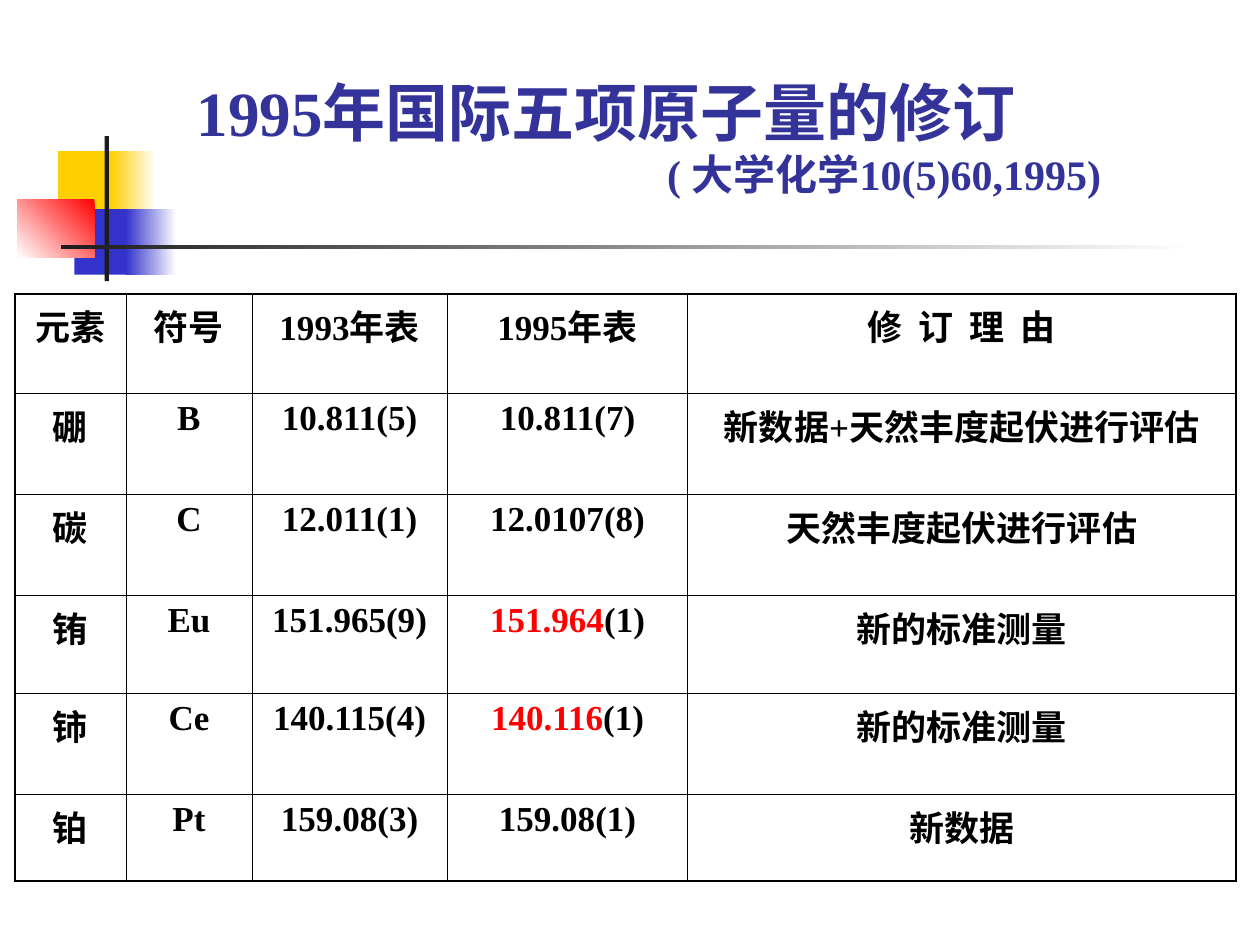
import pptx
import pptx.util
import pptx.oxml
import pptx.oxml.ns
import pptx.dml.color
import pptx.enum.shapes
import pptx.enum.text

Pt = pptx.util.Pt
ALIGN = pptx.enum.text.PP_ALIGN
ANCHOR = pptx.enum.text.MSO_ANCHOR

# Content
FONT = "Times New Roman"
COLOR = {"gold": "FFCF01", "blue": "3333CC", "red": "FF0000", "dark": "1C1C1C",
         "white": "FFFFFF", "navy": "333399", "black": "000000"}
TITLE = [("1995年国际五项原子量的修订", 36, ALIGN.LEFT),
         ("( 大学化学10(5)60,1995)", 24, ALIGN.RIGHT)]
ROWS = [
    ("元素", "符号", "1993年表", "1995年表", "修  订  理  由"),
    ("硼", "B", "10.811(5)", "10.811(7)", "新数据+天然丰度起伏进行评估"),
    ("碳", "C", "12.011(1)", "12.0107(8)", "天然丰度起伏进行评估"),
    ("铕", "Eu", "151.965(9)", "151.964(1)", "新的标准测量"),
    ("铈", "Ce", "140.115(4)", "140.116(1)", "新的标准测量"),
    ("铂", "Pt", "159.08(3)", "159.08(1)", "新数据"),
]
MARKED = {"151.964(1)", "140.116(1)"}  # digits before the bracket in red
WIDTHS = [63.4, 72, 111.6, 137.5, 313.2]
HEIGHTS = [57, 57.6, 57.6, 56.2, 57.6, 49.7]
THICK, THIN = 1.08, 0.45

# Ornament: left, top, width, height, first colour, last colour, angle
BLOCKS = [
    (33.1, 86.4, 34.6, 37.4, "gold", None, 0),
    (63.4, 86.4, 25.9, 37.4, "white", "gold", 180),
    (42.5, 119.5, 33.1, 37.4, "blue", None, 0),
    (72, 119.5, 28.8, 37.4, "white", "blue", 180),
    (10.1, 113.8, 43.9, 33.1, "red", "white", 225),
    (59.8, 77.8, 2.4, 82.8, "dark", None, 0),
    (34.6, 140.1, 648, 2.4, "white", "dark", 180),
]


def rgb(name):
    return pptx.dml.color.RGBColor.from_string(COLOR[name])


def style(run, size, color):
    run.font.name = FONT
    run.font.size = Pt(size)
    run.font.bold = True
    run.font.color.rgb = rgb(color)


def block(slide, left, top, width, height, first, last, angle):
    kind = pptx.enum.shapes.MSO_SHAPE.RECTANGLE
    shape = slide.shapes.add_shape(kind, Pt(left), Pt(top), Pt(width), Pt(height))
    shape.shadow.inherit = False
    shape.line.fill.background()
    if last is None:
        shape.fill.solid()
        shape.fill.fore_color.rgb = rgb(first)
        return
    shape.fill.gradient()
    shape.fill.gradient_angle = angle
    for stop, name in zip(shape.fill.gradient_stops, (first, last)):
        stop.color.rgb = rgb(name)


def border(cell, sides):
    props = cell._tc.get_or_add_tcPr()
    for spot, (side, width) in enumerate(sides):
        props.insert(spot, pptx.oxml.parse_xml(
            f'<a:ln{side} {pptx.oxml.ns.nsdecls("a")} w="{int(Pt(width))}">'
            f'<a:solidFill><a:srgbClr val="{COLOR["black"]}"/></a:solidFill>'
            f'</a:ln{side}>'))


def write(cell, text):
    para = cell.text_frame.paragraphs[0]
    para.alignment = ALIGN.CENTER
    parts = [(text, "black")]
    if text in MARKED:
        cut = text.index("(")
        parts = [(text[:cut], "red"), (text[cut:], "black")]
    for part, color in parts:
        run = para.add_run()
        run.text = part
        style(run, 20, color)


def head(slide):
    title = slide.shapes.title
    title.left, title.top, title.width, title.height = Pt(102.2), Pt(23.8), Pt(534.2), Pt(108)
    frame = title.text_frame
    frame.word_wrap = True
    frame.auto_size = pptx.enum.text.MSO_AUTO_SIZE.NONE
    frame.vertical_anchor = ANCHOR.MIDDLE
    frame.text = "\n".join(line[0] for line in TITLE)
    for para, (_, size, align) in zip(frame.paragraphs, TITLE):
        para.alignment = align
        para.line_spacing = 1.0
        para.space_before = Pt(0)
        style(para.runs[0], size, "navy")
    frame.paragraphs[0]._p.get_or_add_pPr().set("marL", str(int(Pt(3))))


def grid(slide):
    table = slide.shapes.add_table(len(ROWS), len(WIDTHS), Pt(8.6), Pt(167.8),
                                   Pt(sum(WIDTHS)), Pt(sum(HEIGHTS))).table
    table.first_row = table.horz_banding = False
    for col, width in zip(table.columns, WIDTHS):
        col.width = Pt(width)
    for row, height in zip(table.rows, HEIGHTS):
        row.height = Pt(height)
    end_row, end_col = len(ROWS) - 1, len(WIDTHS) - 1
    for r, row in enumerate(ROWS):
        for c, text in enumerate(row):
            cell = table.cell(r, c)
            cell.fill.background()
            cell.vertical_anchor = ANCHOR.TOP
            write(cell, text)
            outer = {"L": c == 0, "R": c == end_col, "T": r == 0, "B": r == end_row}
            border(cell, [(side, THICK if edge else THIN) for side, edge in outer.items()])


def main():
    deck = pptx.Presentation()
    deck.slide_width, deck.slide_height = Pt(720), Pt(540)
    slide = deck.slides.add_slide(deck.slide_layouts[5])
    slide.background.fill.solid()
    slide.background.fill.fore_color.rgb = rgb("white")
    for item in BLOCKS:
        block(slide, *item)
    head(slide)
    grid(slide)
    deck.save("out.pptx")


if __name__ == "__main__":
    main()
